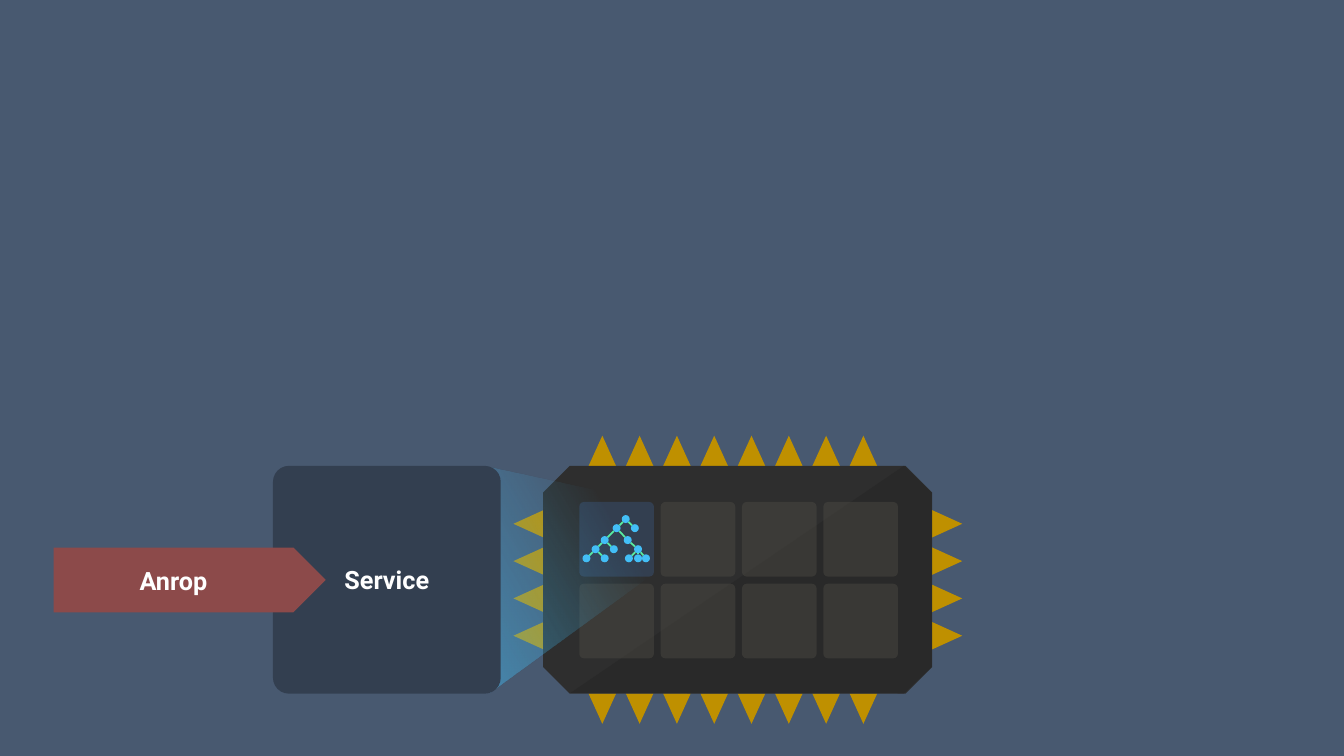
"""Build a slide showing a call to a service whose search tree lies in a memory chip."""
import math

from lxml import etree
from pptx import Presentation
from pptx import util as u
from pptx.dml import color
from pptx.enum import shapes, text
from pptx.oxml import ns

KIND = shapes.MSO_SHAPE


def rgb(value):
    return color.RGBColor.from_string(value)


class Board:
    """Hold the style and the current slide."""

    font, font_size = "Roboto", 18
    backdrop, ink, panel = "485970", "FFFFFF", "333F50"
    pin, chip, shade, cell = "BF9000", "2E2E2E", "292929", "4D4B44"
    node, edge, call = "43BFF7", "58EC9F", "8C4A4A"

    def __init__(self, deck):
        self.slide = deck.slides.add_slide(deck.slide_layouts[6])
        background = self.slide.background.fill
        background.solid()
        background.fore_color.rgb = rgb(self.backdrop)

    def paint(self, shape, fill, opacity=100):
        shape.shadow.inherit = False
        shape.line.fill.background()
        shape.fill.solid()
        shape.fill.fore_color.rgb = rgb(fill)
        if opacity < 100:
            tone = shape.fill._xPr.find(".//" + ns.qn("a:srgbClr"))
            etree.SubElement(tone, ns.qn("a:alpha"), val=str(opacity * 1000))
        return shape

    def block(self, kind, left, top, width, height, fill, adjust=(), opacity=100):
        shape = self.slide.shapes.add_shape(
            kind, u.Cm(left), u.Cm(top), u.Cm(width), u.Cm(height))
        for index, value in enumerate(adjust):
            shape.adjustments[index] = value
        return self.paint(shape, fill, opacity)

    def outline(self, points, fill):
        start, *rest = [(u.Cm(x), u.Cm(y)) for x, y in points]
        builder = self.slide.shapes.build_freeform(*start)
        builder.add_line_segments(rest, close=True)
        return self.paint(builder.convert_to_shape(), fill)

    def beam(self, points, fill, opacity, fade_end, angle):
        shape = self.outline(points, fill)
        solid = shape._element.spPr.find(ns.qn("a:solidFill"))
        gradient = etree.Element(ns.qn("a:gradFill"), rotWithShape="1")
        stops = etree.SubElement(gradient, ns.qn("a:gsLst"))
        for position, alpha in ((0, opacity), (fade_end, 0)):
            stop = etree.SubElement(stops, ns.qn("a:gs"), pos=str(position * 1000))
            tone = etree.SubElement(stop, ns.qn("a:srgbClr"), val=fill)
            etree.SubElement(tone, ns.qn("a:alpha"), val=str(alpha * 1000))
        etree.SubElement(gradient, ns.qn("a:lin"), ang=str(angle * 60000), scaled="0")
        solid.getparent().replace(solid, gradient)

    def link(self, start, end, gap):
        (x1, y1), (x2, y2) = start, end
        share = gap / math.dist(start, end)
        dx, dy = (x2 - x1) * share, (y2 - y1) * share
        line = self.slide.shapes.add_connector(
            shapes.MSO_CONNECTOR.STRAIGHT,
            u.Cm(x1 + dx), u.Cm(y1 + dy), u.Cm(x2 - dx), u.Cm(y2 - dy))
        line.line.color.rgb = rgb(self.edge)
        line.line.width = u.Pt(1.25)
        etree.SubElement(line._element.spPr, ns.qn("a:effectLst"))

    def label(self, shape, words):
        frame = shape.text_frame
        frame.vertical_anchor = text.MSO_ANCHOR.MIDDLE
        paragraph = frame.paragraphs[0]
        paragraph.text = words
        paragraph.alignment = text.PP_ALIGN.CENTER
        paragraph.font.name = self.font
        paragraph.font.size = u.Pt(self.font_size)
        paragraph.font.bold = True
        paragraph.font.color.rgb = rgb(self.ink)


def draw_pins(board):
    pitch, half, reach = 0.94, 0.35, 0.77
    for base, tip in ((11.75, -reach), (17.47, reach)):
        for column in range(8):
            x = 15.18 + column * pitch
            board.outline([(x, base + tip), (x + half, base), (x - half, base)], board.pin)
    for base, tip in ((13.71, -reach), (23.48, reach)):
        for row in range(4):
            y = 13.2 + row * pitch
            board.outline([(base + tip, y), (base, y + half), (base, y - half)], board.pin)


def draw_chip(board):
    board.block(KIND.OCTAGON, 13.69, 11.74, 9.8, 5.74, board.chip, [0.117])
    board.outline([(14.38, 17.46), (22.78, 11.74), (23.48, 12.42),
                   (23.48, 16.81), (22.78, 17.47)], board.shade)
    for row in range(2):
        for column in range(4):
            used = row == column == 0
            board.block(KIND.ROUNDED_RECTANGLE, 14.6 + column * 2.05, 12.65 + row * 2.06,
                        1.88, 1.88, board.panel if used else board.cell,
                        [0.062], 100 if used else 46)


def draw_tree(board):
    radius = 0.1
    levels = [(13.08, [15.77]), (13.31, [15.54, 16]), (13.61, [15.24, 15.82]),
              (13.84, [15.01, 15.47, 16.08]),
              (14.07, [14.78, 15.24, 15.85, 16.08, 16.28])]
    nodes = [(x, y) for y, row in levels for x in row]
    parents = [0, 0, 1, 1, 3, 3, 4, 5, 5, 7, 7, 7]
    for child, parent in enumerate(parents, 1):
        board.link(nodes[parent], nodes[child], radius)
    for x, y in nodes:
        board.block(KIND.OVAL, x - radius, y - radius, 2 * radius, 2 * radius, board.node)


def main():
    deck = Presentation()
    deck.slide_width, deck.slide_height = u.Cm(33.87), u.Cm(19.05)
    board = Board(deck)
    draw_pins(board)
    draw_chip(board)
    draw_tree(board)
    board.beam([(12.27, 11.76), (16.36, 12.65), (16.46, 12.75),
                (16.46, 14.4), (16.36, 14.53), (12.37, 17.45)],
               board.node, 45, 76, 330)
    service = board.block(KIND.ROUNDED_RECTANGLE, 6.88, 11.74, 5.74, 5.74,
                          board.panel, [0.07])
    board.label(service, "Service")
    call = board.block(KIND.RIGHT_ARROW, 1.35, 13.8, 6.86, 1.63, board.call, [1, 0.5])
    board.label(call, "Anrop")
    deck.save("out.pptx")


if __name__ == "__main__":
    main()
